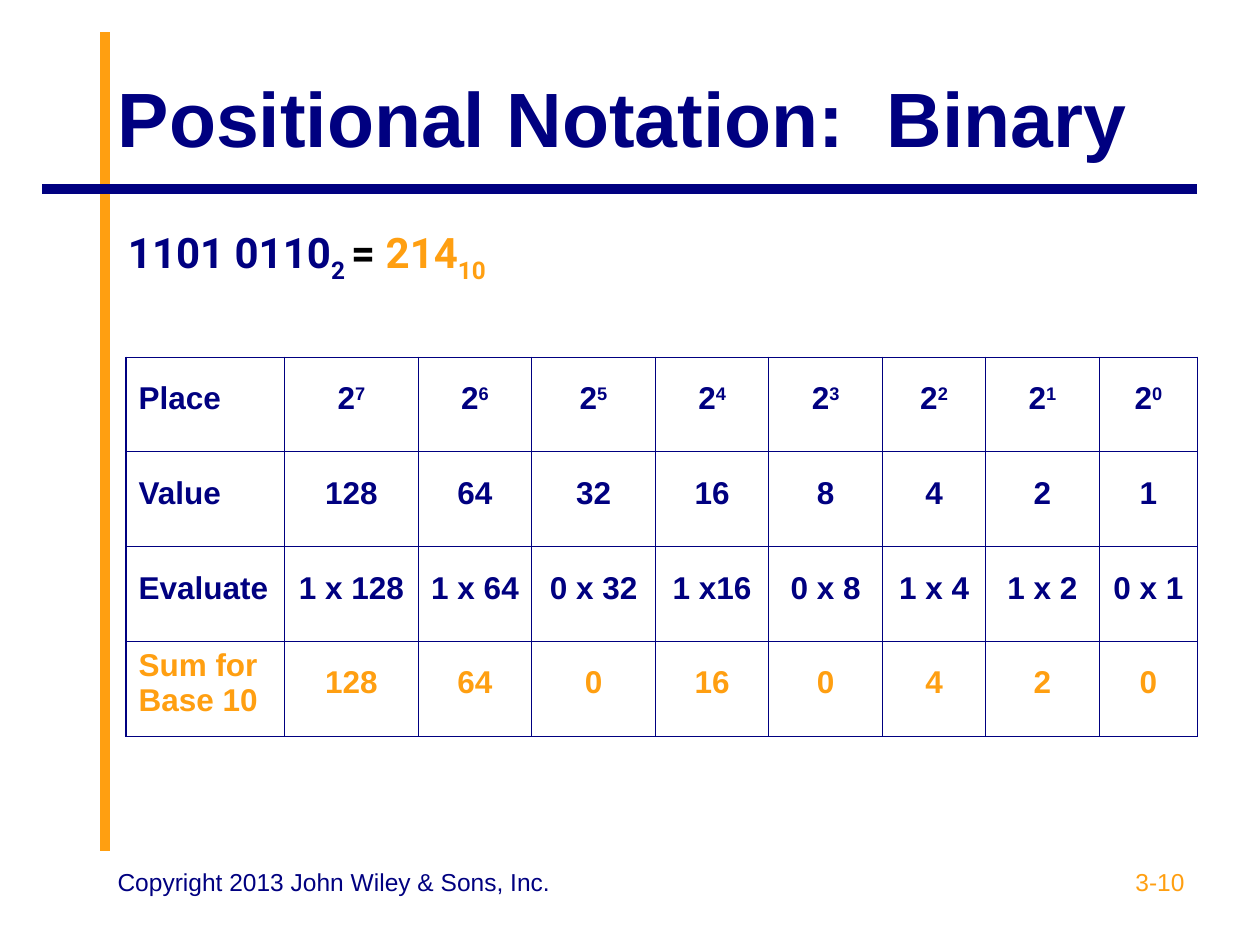
from dataclasses import dataclass
from typing import NamedTuple

import lxml.etree
import pptx
import pptx.dml.color
import pptx.enum.shapes
import pptx.enum.text
import pptx.oxml.ns
import pptx.util

Cm = pptx.util.Cm
Pt = pptx.util.Pt
Align = pptx.enum.text.PP_ALIGN
Anchor = pptx.enum.text.MSO_ANCHOR
qn = pptx.oxml.ns.qn


@dataclass(frozen=True)
class Theme:
    navy: str = "000080"
    orange: str = "FF9F11"
    black: str = "000000"
    font: str = "Arial"
    equation_font: str = "Roboto"
    title_size: float = 44
    equation_size: float = 24
    table_size: float = 18
    footer_size: float = 14
    rule_width: float = 5.5
    border_width: float = 0.75


THEME = Theme()


class TextStyle(NamedTuple):
    size: float
    color: str
    bold: bool = True
    font: str = THEME.font


class Piece(NamedTuple):
    text: str
    style: TextStyle
    baseline: int = 0  # percent: positive raises, negative lowers


class Rule(NamedTuple):
    """A straight decorative line, in centimetres."""
    x1: float
    y1: float
    x2: float
    y2: float
    color: str


class TextBox(NamedTuple):
    """A one-paragraph text box, in centimetres."""
    left: float
    top: float
    width: float
    height: float
    pieces: list[Piece]
    align: Align = Align.LEFT


TITLE = TextStyle(THEME.title_size, THEME.navy)
EQUATION = TextStyle(THEME.equation_size, THEME.navy, font=THEME.equation_font)
TABLE = TextStyle(THEME.table_size, THEME.navy)
TABLE_SUM = TABLE._replace(color=THEME.orange)
FOOTER = TextStyle(THEME.footer_size, THEME.navy, bold=False)

RULES = [
    Rule(2.12, 17.15, 2.12, 0.64, THEME.orange),
    Rule(24.13, 3.81, 0.85, 3.81, THEME.navy),
]

RESULT = EQUATION._replace(color=THEME.orange)
TEXT_BOXES = [
    TextBox(2.33, 4.45, 21.6, 1.8, [
        Piece("1101 0110", EQUATION),
        Piece("2 ", EQUATION, -25),
        Piece("= ", EQUATION._replace(color=THEME.black)),
        Piece("214", RESULT),
        Piece("10", RESULT, -25),
    ]),
    TextBox(18.2, 17.36, 5.93, 1.32,
            [Piece("3-10", FOOTER._replace(color=THEME.orange))], Align.RIGHT),
    TextBox(2.12, 17.36, 9.31, 1.32,
            [Piece("Copyright 2013 John Wiley & Sons, Inc.", FOOTER)]),
]

COLUMN_WIDTHS = [3.2, 2.69, 2.29, 2.49, 2.29, 2.29, 2.08, 2.29, 1.98]
ROW_HEIGHT = 1.91
POWERS = range(7, -1, -1)
EVALUATE = ["1 x 128", "1 x 64", "0 x 32", "1 x16", "0 x 8", "1 x 4", "1 x 2", "0 x 1"]
SUMS = ["128", "64", "0", "16", "0", "4", "2", "0"]

# Each cell is a list of pieces; the first cell of a row is its label
TABLE_ROWS: list[list[list[Piece]]] = [
    [[Piece("Place", TABLE)]]
    + [[Piece("2", TABLE), Piece(str(power), TABLE, 30)] for power in POWERS],
    [[Piece("Value", TABLE)]] + [[Piece(str(2 ** power), TABLE)] for power in POWERS],
    [[Piece(text, TABLE)] for text in ["Evaluate", *EVALUATE]],
    [[Piece(text, TABLE_SUM)] for text in ["Sum for Base 10", *SUMS]],
]


def rgb(color: str) -> pptx.dml.color.RGBColor:
    return pptx.dml.color.RGBColor.from_string(color)


def write(paragraph, pieces: list[Piece], align: Align) -> None:
    paragraph.alignment = align
    for piece in pieces:
        run = paragraph.add_run()
        run.text = piece.text
        run.font.name = piece.style.font
        run.font.size = Pt(piece.style.size)
        run.font.bold = piece.style.bold
        run.font.color.rgb = rgb(piece.style.color)
        if piece.baseline:
            run._r.get_or_add_rPr().set("baseline", str(piece.baseline * 1000))


def draw_rule(slide, rule: Rule) -> None:
    connector = slide.shapes.add_connector(
        pptx.enum.shapes.MSO_CONNECTOR.STRAIGHT,
        Cm(rule.x1), Cm(rule.y1), Cm(rule.x2), Cm(rule.y2))
    connector.line.color.rgb = rgb(rule.color)
    connector.line.width = Pt(THEME.rule_width)
    lxml.etree.SubElement(connector._element.spPr, qn("a:effectLst"))


def draw_title(slide, text: str) -> None:
    title = slide.shapes.title
    title.left, title.top, title.width, title.height = Cm(2.12), Cm(0.76), Cm(22.01), Cm(3.18)
    title.text_frame.auto_size = pptx.enum.text.MSO_AUTO_SIZE.NONE
    title.text_frame.vertical_anchor = Anchor.MIDDLE
    write(title.text_frame.paragraphs[0], [Piece(text, TITLE)], Align.LEFT)


def draw_text_box(slide, box: TextBox) -> None:
    shape = slide.shapes.add_textbox(Cm(box.left), Cm(box.top), Cm(box.width), Cm(box.height))
    shape.text_frame.word_wrap = True
    write(shape.text_frame.paragraphs[0], box.pieces, box.align)


def add_borders(cell) -> None:
    properties = cell._tc.get_or_add_tcPr()
    for side in ("lnL", "lnR", "lnT", "lnB"):
        line = lxml.etree.SubElement(properties, qn(f"a:{side}"), w=str(Pt(THEME.border_width)))
        fill = lxml.etree.SubElement(line, qn("a:solidFill"))
        lxml.etree.SubElement(fill, qn("a:srgbClr"), val=THEME.navy)


def draw_table(slide, rows: list[list[list[Piece]]]) -> None:
    table = slide.shapes.add_table(
        len(rows), len(COLUMN_WIDTHS), Cm(2.54), Cm(7.2),
        Cm(sum(COLUMN_WIDTHS)), Cm(ROW_HEIGHT * len(rows))).table
    table.first_row = False
    table.horz_banding = False
    for column, width in zip(table.columns, COLUMN_WIDTHS):
        column.width = Cm(width)
    for row_index, row in enumerate(rows):
        table.rows[row_index].height = Cm(ROW_HEIGHT)
        for column_index, pieces in enumerate(row):
            cell = table.cell(row_index, column_index)
            add_borders(cell)
            cell.fill.background()
            paragraph = cell.text_frame.paragraphs[0]
            is_label = column_index == 0
            write(paragraph, pieces, Align.LEFT if is_label else Align.CENTER)
            # The two-line label in the last row is set tight
            two_lines = is_label and row_index == len(rows) - 1
            paragraph.line_spacing = 1.0 if two_lines else 1.5


def main() -> None:
    presentation = pptx.Presentation()
    presentation.slide_width, presentation.slide_height = Cm(25.4), Cm(19.05)
    slide = presentation.slides.add_slide(presentation.slide_layouts.get_by_name("Title Only"))

    # Heading with its crossed rules
    draw_title(slide, "Positional Notation:  Binary")
    for rule in RULES:
        draw_rule(slide, rule)
    # Rules lie behind the title
    slide.shapes._spTree.append(slide.shapes.title._element)

    # Place-value table, then equation and footers
    draw_table(slide, TABLE_ROWS)
    for box in TEXT_BOXES:
        draw_text_box(slide, box)

    presentation.save("out.pptx")


if __name__ == "__main__":
    main()
